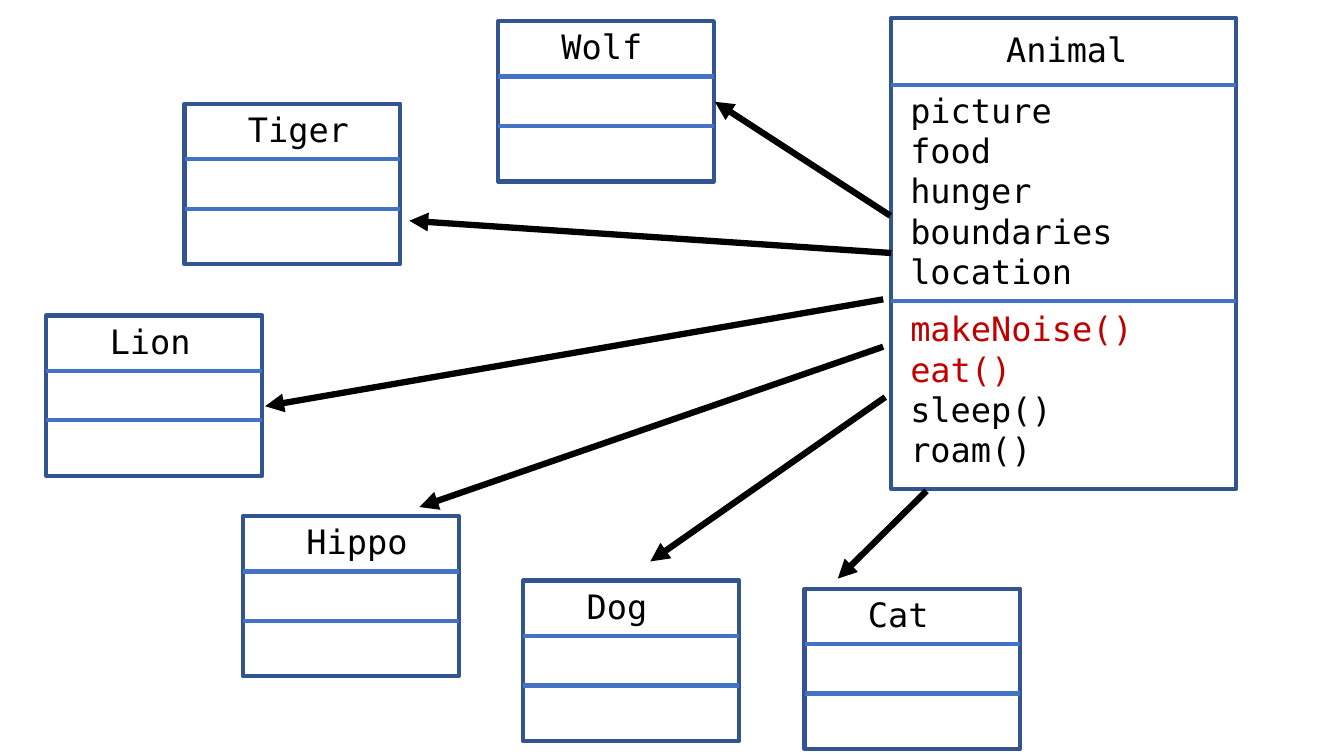
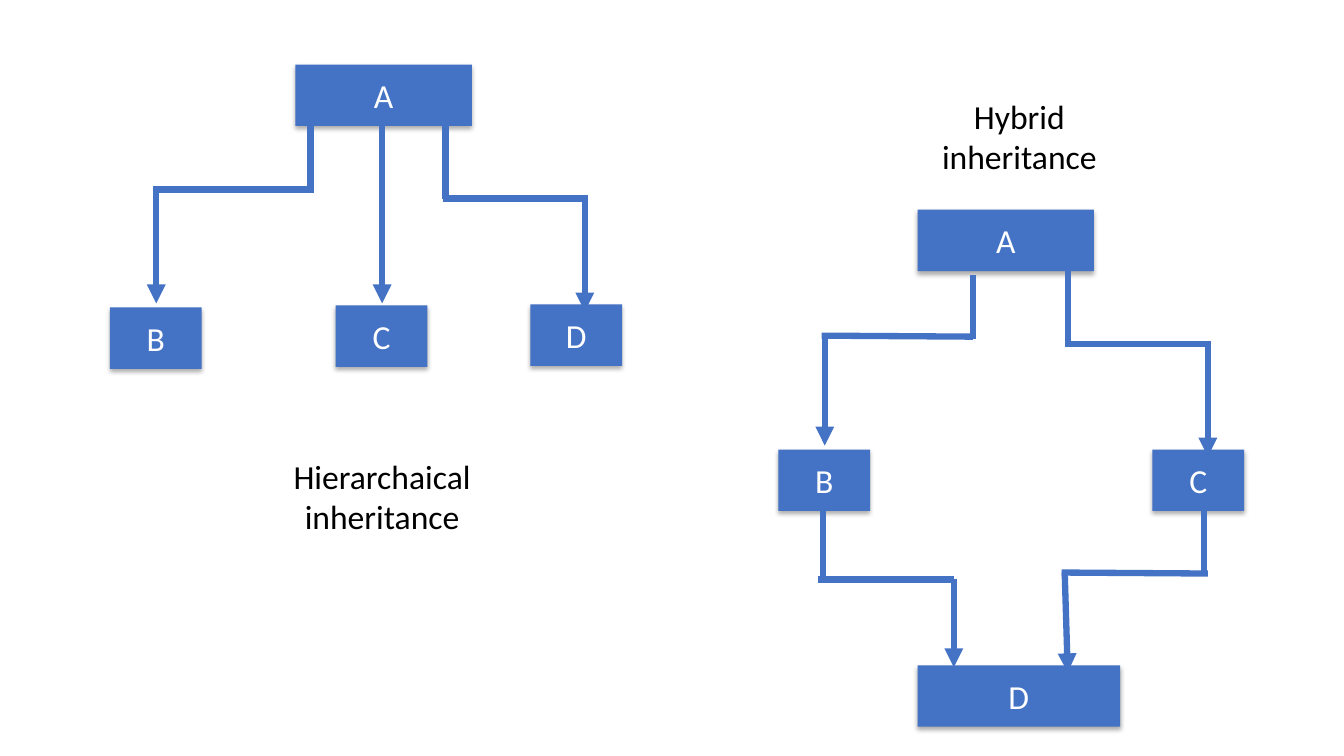
from dataclasses import dataclass

from pptx import Presentation
from pptx.dml.color import RGBColor
from pptx.enum.shapes import MSO_CONNECTOR, MSO_SHAPE
from pptx.enum.text import MSO_ANCHOR, MSO_AUTO_SIZE, PP_ALIGN
from pptx.oxml.ns import qn
from pptx.oxml.xmlchemy import OxmlElement
from pptx.shapes.autoshape import Shape
from pptx.slide import Slide
from pptx.text.text import TextFrame
from pptx.util import Inches, Pt

RECTANGLE = MSO_SHAPE.RECTANGLE
STRAIGHT = MSO_CONNECTOR.STRAIGHT
MIDDLE = MSO_ANCHOR.MIDDLE
FIT_SHAPE = MSO_AUTO_SIZE.SHAPE_TO_FIT_TEXT
LEFT, CENTER = PP_ALIGN.LEFT, PP_ALIGN.CENTER

COLORS = {
    "outline": "325491",
    "blue": "4472C4",
    "text": "000000",
    "override": "C00000",
    "white": "FFFFFF",
}
CODE_FONT, LABEL_FONT = "DejaVu Sans Mono", "Calibri"
TEXT_SIZE = 24
OUTLINE_WIDTH, ARROW_WIDTH = 3, 4.5
OVERRIDDEN = ("makeNoise()", "eat()")

# Subclass cards: one size, with dividers at fixed depths
CARD_WIDTH, CARD_HEIGHT = 2.14, 1.59
CARD_DIVIDERS = (0.55, 1.04)
NAME_INDENT, NAME_WIDTH, NAME_HEIGHT = 0.53, 1.69, 0.5

# Inheritance nodes
NODE_WIDTH, NODE_HEIGHT = 0.91, 0.61
CAPTION_WIDTH, CAPTION_HEIGHT = 2.28, 0.91


@dataclass(frozen=True)
class Subclass:
    name: str
    left: float
    top: float


@dataclass(frozen=True)
class Segment:
    start: tuple[float, float]
    end: tuple[float, float]
    arrow: bool = False


@dataclass(frozen=True)
class Node:
    name: str
    left: float
    top: float
    width: float = NODE_WIDTH


@dataclass(frozen=True)
class Caption:
    lines: tuple[str, ...]
    left: float
    top: float


SUBCLASSES = (
    Subclass("Lion", 0.46, 3.13),
    Subclass("Hippo", 2.41, 5.12),
    Subclass("Tiger", 1.83, 1.03),
    Subclass("Dog", 5.19, 5.76),
    Subclass("Cat", 7.98, 5.84),
    Subclass("Wolf", 4.94, 0.21),
)
ANIMAL_ARROWS = (
    Segment((8.83, 2.14), (7.09, 1.01), True),
    Segment((8.84, 2.51), (4.06, 2.19), True),
    Segment((8.76, 2.97), (2.63, 4.03), True),
    Segment((8.76, 3.44), (4.16, 5.03), True),
    Segment((8.78, 3.94), (6.45, 5.57), True),
    Segment((9.19, 4.87), (8.31, 5.74), True),
)
NODES = (
    # Hierarchical tree
    Node("A", 2.93, 0.64, 1.75),
    Node("B", 1.09, 3.05),
    Node("C", 3.33, 3.03),
    Node("D", 5.26, 3.02),
    # Hybrid diamond
    Node("A", 9.1, 2.08, 1.75),
    Node("B", 7.72, 4.46),
    Node("C", 11.43, 4.46),
    Node("D", 9.1, 6.6, 2.01),
)
LINKS = (
    # Hierarchical: A to B, C and D
    Segment((3.08, 1.25), (3.08, 1.88)),
    Segment((1.52, 1.88), (3.11, 1.88)),
    Segment((1.55, 1.9), (1.55, 3.01), True),
    Segment((3.79, 1.25), (3.79, 3.01), True),
    Segment((4.42, 1.25), (4.42, 1.97)),
    Segment((5.83, 1.97), (4.39, 1.97)),
    Segment((5.8, 1.98), (5.8, 3.09), True),
    # Hybrid: A to B and C
    Segment((9.65, 2.73), (9.65, 3.36)),
    Segment((8.15, 3.33), (9.65, 3.34)),
    Segment((8.18, 3.32), (8.18, 4.42), True),
    Segment((10.59, 2.69), (10.59, 3.41)),
    Segment((12.01, 3.41), (10.56, 3.41)),
    Segment((11.98, 3.42), (11.98, 4.53), True),
    # Hybrid: B and C to D
    Segment((8.16, 5.07), (8.16, 5.75)),
    Segment((8.11, 5.75), (9.46, 5.75)),
    Segment((9.46, 5.74), (9.46, 6.62), True),
    Segment((11.94, 5.07), (11.94, 5.7)),
    Segment((10.53, 5.68), (11.98, 5.69)),
    Segment((10.56, 5.68), (10.59, 6.67), True),
)
CAPTIONS = (
    Caption(("Hierarchaical", "inheritance"), 2.65, 4.47),
    Caption(("Hybrid", "inheritance"), 8.97, 0.9),
)


def color(name: str) -> RGBColor:
    return RGBColor.from_string(COLORS[name])


def write(frame: TextFrame, lines: tuple[str, ...], font: str,
          color_name: str = "text", align: PP_ALIGN = LEFT) -> None:
    frame.word_wrap = True
    frame.text = "\n".join(lines)
    for paragraph in frame.paragraphs:
        paragraph.alignment = align
        for span in paragraph.runs:
            span.font.name = font
            span.font.size = Pt(TEXT_SIZE)
            overridden = span.text in OVERRIDDEN
            span.font.color.rgb = color("override" if overridden else color_name)


def add_text(page: Slide, lines: tuple[str, ...], left: float, top: float,
             width: float, height: float, font: str = CODE_FONT,
             align: PP_ALIGN = LEFT) -> None:
    box = page.shapes.add_textbox(Inches(left), Inches(top), Inches(width), Inches(height))
    write(box.text_frame, lines, font, align=align)
    box.text_frame.auto_size = FIT_SHAPE


def add_line(page: Slide, segment: Segment, color_name: str, width: float) -> None:
    line = page.shapes.add_connector(
        STRAIGHT, *(Inches(value) for value in segment.start + segment.end))
    line.line.color.rgb = color(color_name)
    line.line.width = Pt(width)
    properties = line.element.spPr
    if segment.arrow:
        head = OxmlElement("a:tailEnd")
        head.set("type", "triangle")
        properties.find(qn("a:ln")).append(head)
    properties.append(OxmlElement("a:effectLst"))


def add_rectangle(page: Slide, left: float, top: float,
                  width: float, height: float) -> Shape:
    rectangle = page.shapes.add_shape(
        RECTANGLE, Inches(left), Inches(top), Inches(width), Inches(height))
    rectangle.shadow.inherit = False
    return rectangle


def add_class_frame(page: Slide, left: float, top: float, width: float,
                    height: float, dividers: tuple[float, ...]) -> None:
    frame = add_rectangle(page, left, top, width, height)
    frame.fill.background()
    frame.line.color.rgb = color("outline")
    frame.line.width = Pt(OUTLINE_WIDTH)
    for depth in dividers:
        divider = Segment((left, top + depth), (left + width, top + depth))
        add_line(page, divider, "blue", OUTLINE_WIDTH)


def add_subclass(page: Slide, subclass: Subclass) -> None:
    add_class_frame(page, subclass.left, subclass.top, CARD_WIDTH, CARD_HEIGHT, CARD_DIVIDERS)
    add_text(page, (subclass.name,), subclass.left + NAME_INDENT, subclass.top,
             NAME_WIDTH, NAME_HEIGHT)


def add_soft_shadow(shape: Shape) -> None:
    shadow = OxmlElement("a:outerShdw")
    settings = {"blurRad": Pt(3.5), "dist": Pt(2.2), "dir": 90 * 60000, "rotWithShape": 0}
    for name, value in settings.items():
        shadow.set(name, str(int(value)))
    tint = OxmlElement("a:srgbClr")
    tint.set("val", COLORS["text"])
    alpha = OxmlElement("a:alpha")
    alpha.set("val", "32000")
    tint.append(alpha)
    shadow.append(tint)
    shape.element.spPr.find(qn("a:effectLst")).append(shadow)


def add_node(page: Slide, node: Node) -> None:
    box = add_rectangle(page, node.left, node.top, node.width, NODE_HEIGHT)
    box.fill.solid()
    box.fill.fore_color.rgb = color("blue")
    box.line.fill.background()
    add_soft_shadow(box)
    box.text_frame.vertical_anchor = MIDDLE
    write(box.text_frame, (node.name,), LABEL_FONT, "white", CENTER)


def build_animal_page(page: Slide) -> None:
    # Base class
    add_class_frame(page, 8.84, 0.18, 3.42, 4.67, (0.66, 2.81))
    add_text(page, ("Animal",), 9.88, 0.24, NAME_WIDTH, NAME_HEIGHT)
    fields = ("picture", "food", "hunger", "boundaries", "location")
    add_text(page, fields, 8.93, 0.84, 3.42, 2.12)
    add_text(page, OVERRIDDEN + ("sleep()", "roam()"), 8.93, 3.01, 3.42, 1.72)
    # Subclasses and their arrows
    for subclass in SUBCLASSES:
        add_subclass(page, subclass)
    for arrow in ANIMAL_ARROWS:
        add_line(page, arrow, "text", ARROW_WIDTH)


def build_inheritance_page(page: Slide) -> None:
    for node in NODES:
        add_node(page, node)
    for link in LINKS:
        add_line(page, link, "blue", ARROW_WIDTH)
    for caption in CAPTIONS:
        add_text(page, caption.lines, caption.left, caption.top,
                 CAPTION_WIDTH, CAPTION_HEIGHT, LABEL_FONT, CENTER)


def main() -> None:
    deck = Presentation()
    deck.slide_width, deck.slide_height = Inches(13.33), Inches(7.5)
    blank = deck.slide_layouts[6]
    for build in (build_animal_page, build_inheritance_page):
        build(deck.slides.add_slide(blank))
    deck.save("out.pptx")


if __name__ == "__main__":
    main()
